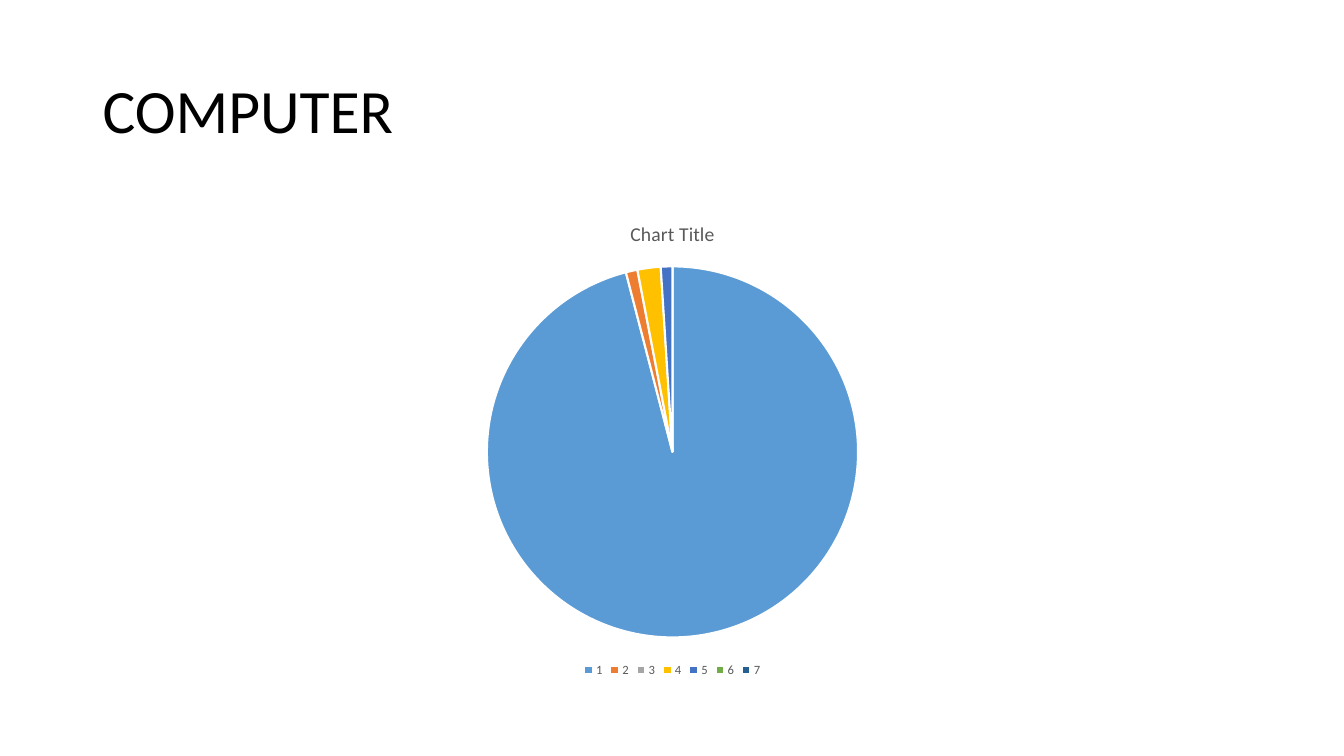
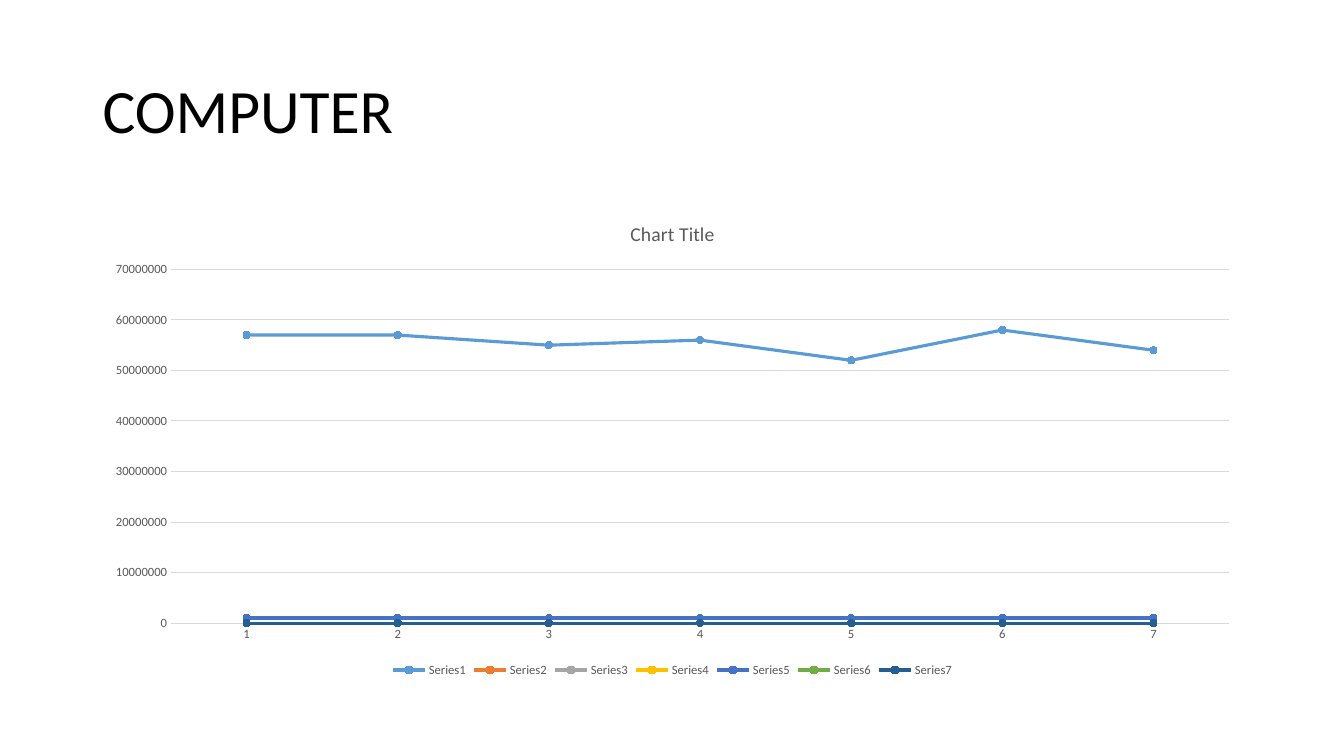
from copy import deepcopy

from pptx import Presentation
from pptx.chart.data import CategoryChartData
from pptx.dml.color import RGBColor
from pptx.enum.chart import XL_CHART_TYPE, XL_LEGEND_POSITION, XL_MARKER_STYLE, XL_TICK_MARK
from pptx.enum.text import MSO_ANCHOR
from pptx.util import Inches, Pt

PIE = XL_CHART_TYPE.PIE
LINE_MARKERS = XL_CHART_TYPE.LINE_MARKERS
BOTTOM = XL_LEGEND_POSITION.BOTTOM
CIRCLE = XL_MARKER_STYLE.CIRCLE
NO_TICK = XL_TICK_MARK.NONE
MIDDLE = MSO_ANCHOR.MIDDLE

# Shared style
FONT = "Calibri"
BLACK, WHITE, GREY, RULE = "000000", "FFFFFF", "595959", "D9D9D9"
ACCENTS = ["5B9BD5", "ED7D31", "A5A5A5", "FFC000", "4472C4", "70AD47", "255E91"]
TITLE_BOX = (0.92, 0.4, 11.5, 1.45)
CHART_BOX = (0.92, 2, 11.5, 4.76)

# Chart data
CATEGORIES = [str(n) for n in range(1, 8)]
SHARES = [95, 1, 0, 2, 1, 0, 0]
SHARE_SERIES = 6
TOP_MILLIONS = [57, 57, 55, 56, 52, 58, 54]
FLAT_MILLIONS = [1, 0, 1, 1, 0, 0]


def rgb(color):
    return RGBColor.from_string(color)


def set_font(font, size, color):
    font.name, font.size, font.bold = FONT, Pt(size), False
    font.color.rgb = rgb(color)


def set_fill(fill, color):
    fill.solid()
    fill.fore_color.rgb = rgb(color)


def set_line(line, color, width):
    line.color.rgb = rgb(color)
    line.width = Pt(width)


def add_title(s, box, text):
    tf = s.shapes.add_textbox(*map(Inches, box)).text_frame
    tf.word_wrap = True
    tf.vertical_anchor = MIDDLE
    p = tf.paragraphs[0]
    p.text = text
    p.line_spacing = 0.9
    set_font(p.font, 44, BLACK)


def add_chart(s, box, kind, series):
    data = CategoryChartData()
    data.categories = CATEGORIES
    for name, values in series:
        data.add_series(name, values)
    chart = s.shapes.add_chart(kind, *map(Inches, box), data).chart
    set_font(chart.font, 10, BLACK)
    # Heading
    chart.has_title = True
    p = chart.chart_title.text_frame.paragraphs[0]
    p.text = "Chart Title"
    set_font(p.font, 14, GREY)
    # Legend
    chart.has_legend = True
    chart.legend.position = BOTTOM
    chart.legend.include_in_layout = False
    set_font(chart.legend.font, 9, GREY)
    return chart


def repeat_pie_series(chart, names):
    """Write the further series, as python-pptx puts only the first in a pie."""
    first = last = chart.element.xpath("//c:ser")[0]
    for i, name in enumerate(names[1:], 1):
        ser = deepcopy(first)
        last.addnext(ser)
        for tag in ("c:idx", "c:order"):
            ser.xpath(tag)[0].set("val", str(i))
        ser.xpath("c:tx//c:v")[0].text = name
        for ref in ser.xpath("c:tx//c:f | c:val//c:f"):
            ref.text = ref.text.replace("$B$", f"${'BCDEFG'[i]}$")
        last = ser


def add_share_pie(s, box):
    names = [f"Series {n + 1}" for n in range(SHARE_SERIES)]
    chart = add_chart(s, box, PIE, [(name, SHARES) for name in names])
    plot = chart.plots[0]
    plot.vary_by_categories = True
    for i, color in enumerate(ACCENTS):
        slice_format = plot.series[0].points[i].format
        set_fill(slice_format.fill, color)
        set_line(slice_format.line, WHITE, 1.5)
    repeat_pie_series(chart, names)


def add_trend_lines(s, box):
    rows = [TOP_MILLIONS] + [[v] * len(CATEGORIES) for v in FLAT_MILLIONS]
    series = [(f"Series{n}", [v * 1000000 for v in row])
              for n, row in enumerate(rows, 1)]
    chart = add_chart(s, box, LINE_MARKERS, series)
    plot = chart.plots[0]
    plot.vary_by_categories = False
    for trend, color in zip(plot.series, ACCENTS):
        trend.smooth = False
        set_line(trend.format.line, color, 2.25)
        marker = trend.marker
        marker.style, marker.size = CIRCLE, 5
        set_fill(marker.format.fill, color)
        set_line(marker.format.line, color, 0.75)
    # Axes
    for axis in (chart.category_axis, chart.value_axis):
        axis.major_tick_mark = axis.minor_tick_mark = NO_TICK
        set_font(axis.tick_labels.font, 9, GREY)
    set_line(chart.category_axis.format.line, RULE, 0.75)
    chart.value_axis.format.line.fill.background()
    chart.value_axis.has_major_gridlines = True
    set_line(chart.value_axis.major_gridlines.format.line, RULE, 0.75)


prs = Presentation()
prs.slide_width, prs.slide_height = Inches(13.33), Inches(7.5)
for add_body in (add_share_pie, add_trend_lines):
    s = prs.slides.add_slide(prs.slide_layouts[6])
    add_title(s, TITLE_BOX, "COMPUTER")
    add_body(s, CHART_BOX)
prs.save("out.pptx")
